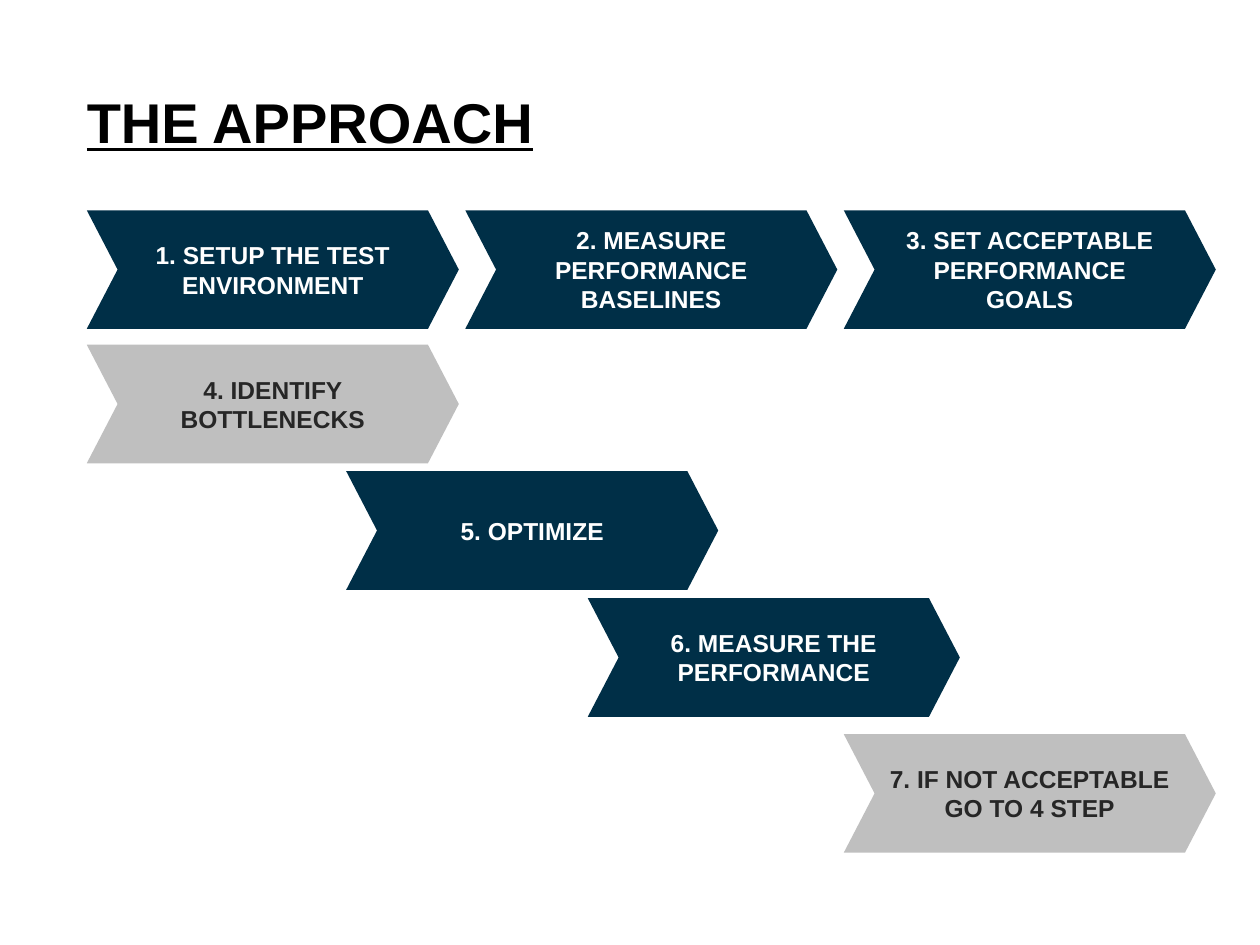
from pptx import Presentation
from pptx import util as u
from pptx.dml.color import RGBColor
from pptx.enum import shapes, text

FONT = "Arial"
NAVY, GREY = "002F47", "BFBFBF"
WHITE, CHARCOAL, BLACK = "FFFFFF", "262626", "000000"
LEFT, COLUMN_STEP = 1.75, 7.63
STEP_WIDTH, STEP_HEIGHT = 7.5, 2.39
TOP_ROW = 4.24

TOP_STEPS = [
    "1. SETUP THE TEST ENVIRONMENT",
    "2. MEASURE PERFORMANCE BASELINES",
    "3. SET ACCEPTABLE PERFORMANCE GOALS",
]
# The loop descends from the first column to the third: left, top, label, fill, font colour
LOOP_STEPS = [
    (LEFT, 6.95, "4. IDENTIFY BOTTLENECKS", GREY, CHARCOAL),
    (6.98, 9.5, "5. OPTIMIZE", NAVY, WHITE),
    (11.85, 12.06, "6. MEASURE THE PERFORMANCE", NAVY, WHITE),
    (LEFT + 2 * COLUMN_STEP, 14.8, "7. IF NOT ACCEPTABLE GO TO 4 STEP", GREY, CHARCOAL),
]


def color(value):
    return RGBColor.from_string(value)


def style_font(font, size, value):
    font.name = FONT
    font.size = u.Pt(size)
    font.bold = True
    font.color.rgb = color(value)


def add_title(page, label):
    box = page.shapes.add_textbox(u.Cm(LEFT), u.Cm(1.4), u.Cm(21.95), u.Cm(1.5))
    frame = box.text_frame
    frame.word_wrap = True
    frame.margin_left = frame.margin_right = frame.margin_bottom = 0
    frame.margin_top = u.Cm(0.1)
    para = frame.paragraphs[0]
    para.text = label
    para.line_spacing = 1.2
    style_font(para.font, 32, BLACK)
    para.font.underline = True


def add_step(page, left, top, label, fill=NAVY, font_color=WHITE):
    """Add one chevron of the process."""
    step = page.shapes.add_shape(
        shapes.MSO_SHAPE.CHEVRON,
        u.Cm(left), u.Cm(top), u.Cm(STEP_WIDTH), u.Cm(STEP_HEIGHT))
    step.adjustments[0] = 0.26
    step.shadow.inherit = False
    step.fill.solid()
    step.fill.fore_color.rgb = color(fill)
    step.line.fill.background()
    frame = step.text_frame
    frame.word_wrap = True
    frame.vertical_anchor = text.MSO_ANCHOR.MIDDLE
    para = frame.paragraphs[0]
    para.text = label
    para.alignment = text.PP_ALIGN.CENTER
    style_font(para.font, 14, font_color)


def main():
    deck = Presentation()
    deck.slide_width, deck.slide_height = u.Cm(25.4), u.Cm(19.05)
    page = deck.slides.add_slide(deck.slide_layouts[6])
    add_title(page, "THE APPROACH")
    for column, label in enumerate(TOP_STEPS):
        add_step(page, LEFT + column * COLUMN_STEP, TOP_ROW, label)
    for step in LOOP_STEPS:
        add_step(page, *step)
    deck.save("out.pptx")


if __name__ == "__main__":
    main()
